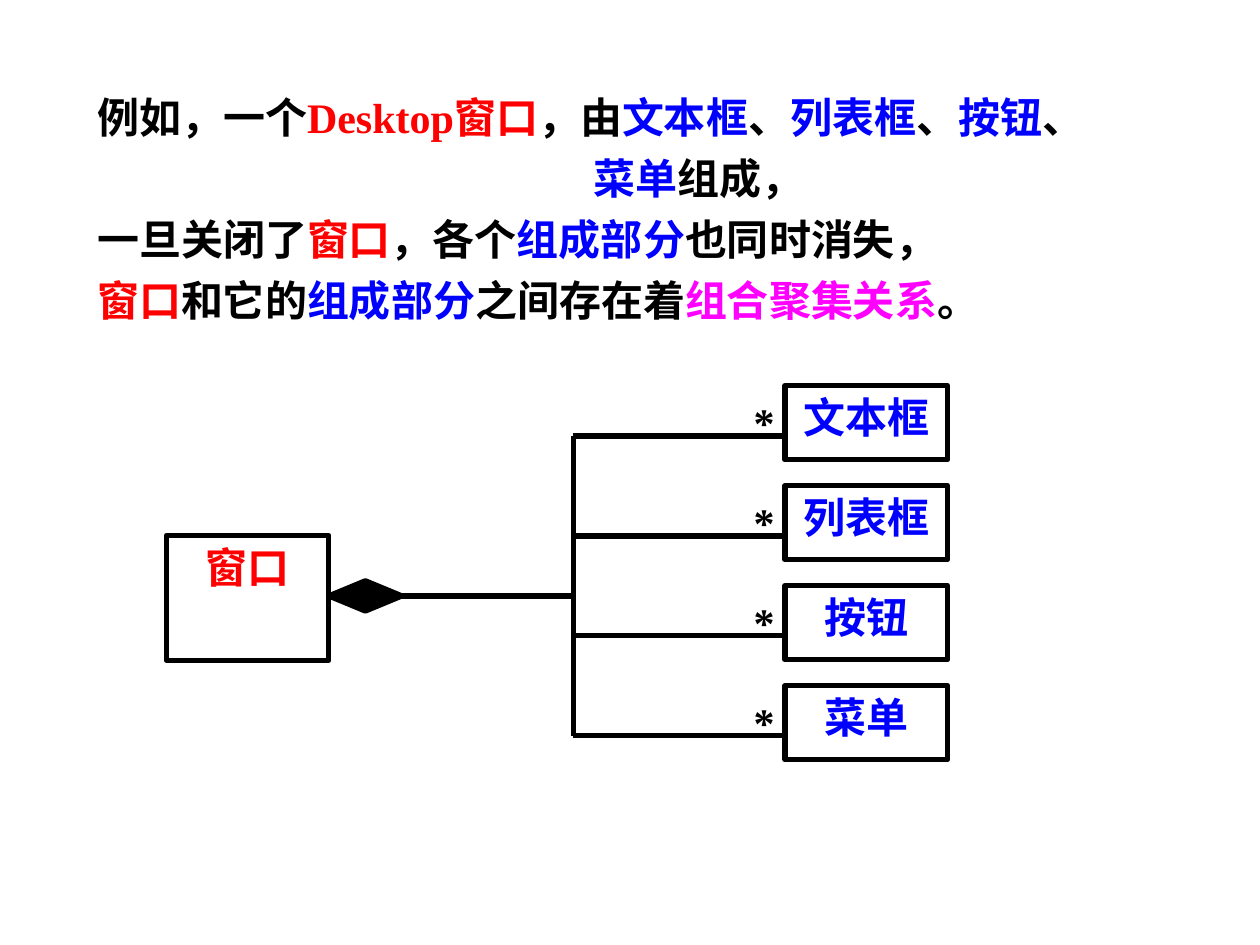
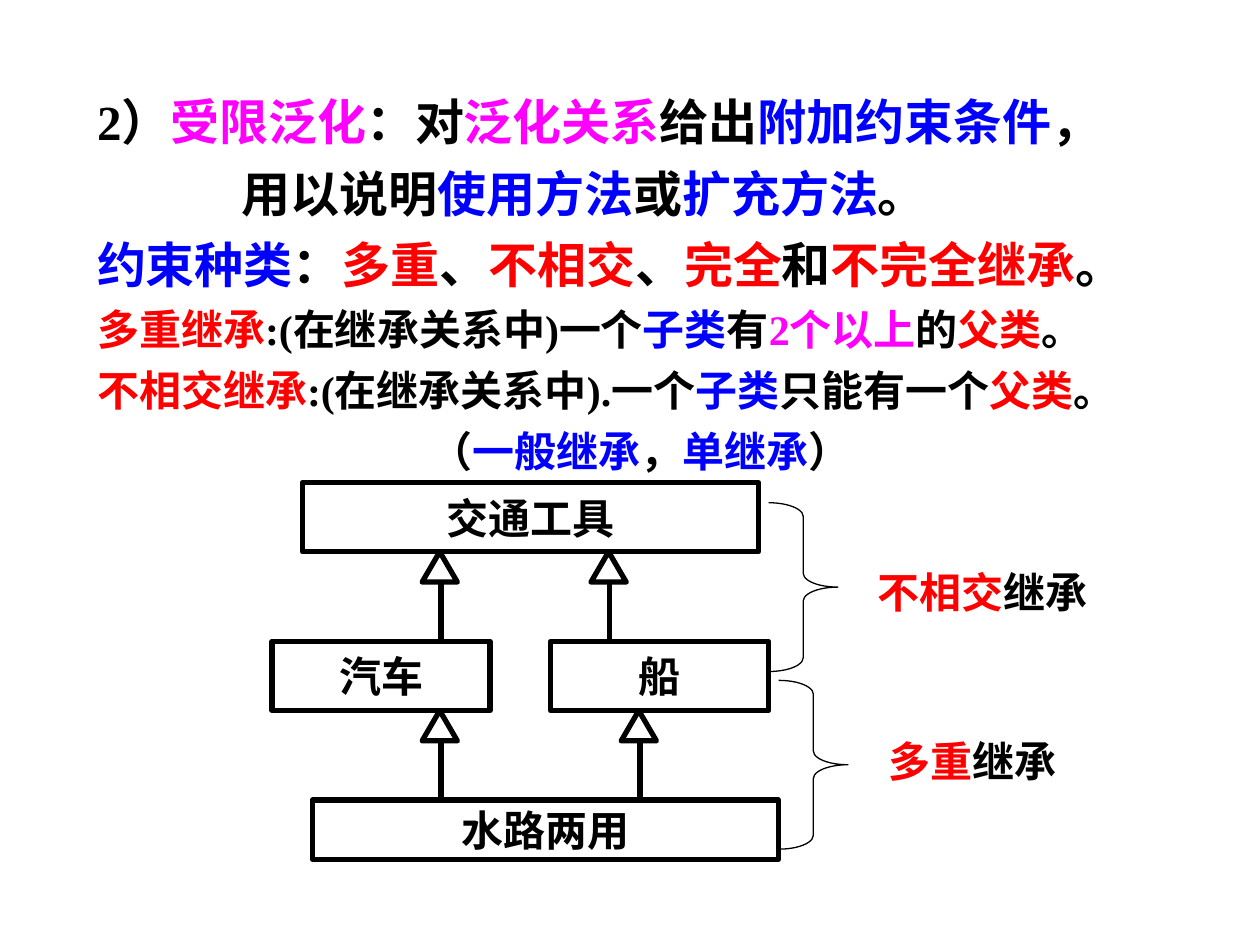
from dataclasses import dataclass
from functools import partial

from pptx import Presentation
from pptx.dml.color import RGBColor
from pptx.enum.shapes import MSO_CONNECTOR as Link, MSO_SHAPE as Form
from pptx.enum.text import MSO_ANCHOR as Anchor, MSO_AUTO_SIZE as Fit, PP_ALIGN as Align
from pptx.oxml import parse_xml
from pptx.oxml.ns import nsdecls
from pptx.util import Inches, Pt


@dataclass(frozen=True)
class Theme:
    font: str = "Times New Roman"
    ink: str = "000000"
    paper: str = "FFFFFF"
    red: str = "FF0000"
    blue: str = "0000FF"
    pink: str = "FF00FF"
    large: int = 28
    text: int = 24
    thick: float = 3
    thin: float = 0.75


@dataclass(frozen=True)
class Bit:
    text: str
    color: str


@dataclass(frozen=True)
class Line:
    bits: list
    left: float = 0
    size: int = Theme.text
    gap: int = 6


ink = partial(Bit, color=Theme.ink)
red = partial(Bit, color=Theme.red)
blue = partial(Bit, color=Theme.blue)
pink = partial(Bit, color=Theme.pink)
Head = partial(Line, size=Theme.large, gap=7)


class Deck:
    def __init__(self, theme):
        self.theme = theme
        self.show = Presentation()
        self.show.slide_width = Inches(10)
        self.show.slide_height = Inches(7.5)
        self.slide = None

    def page(self):
        self.slide = self.show.slides.add_slide(self.show.slide_layouts[0])
        title = self.slide.shapes.title
        title.element.getparent().remove(title.element)

    def row(self, para, line, align):
        para.alignment = align
        if line.left:
            props = para._p.get_or_add_pPr()
            props.set("marL", str(Inches(line.left)))
            props.set("indent", "0")
        font = para.font
        font.name, font.size, font.bold = self.theme.font, Pt(line.size), True
        colors = {bit.color for bit in line.bits}
        mixed = len(colors) > 1
        if not mixed:
            font.color.rgb = RGBColor.from_string(colors.pop())
        for bit in line.bits:
            run = para.add_run()
            run.text = bit.text
            if mixed:
                run.font.color.rgb = RGBColor.from_string(bit.color)

    def fill(self, frame, lines, align=Align.CENTER, anchor=Anchor.MIDDLE):
        frame.word_wrap = True
        frame.auto_size = Fit.NONE
        frame.vertical_anchor = anchor
        for i, line in enumerate(lines):
            para = frame.add_paragraph() if i else frame.paragraphs[0]
            para.space_before = Pt(line.gap if i else 0)
            self.row(para, line, align)

    def body(self, width, lines):
        body = self.slide.placeholders[1]
        body.left, body.top = Inches(0.67), Inches(0.68)
        body.width, body.height = Inches(width), Inches(6.49)
        self.fill(body.text_frame, lines, Align.LEFT, Anchor.TOP)

    def shape(self, form, x, y, w, h, fill=None, weight=Theme.thick):
        shape = self.slide.shapes.add_shape(form, *map(Inches, (x, y, w, h)))
        shape.shadow.inherit = False
        if fill:
            shape.fill.solid()
            shape.fill.fore_color.rgb = RGBColor.from_string(fill)
        else:
            shape.fill.background()
        shape.line.color.rgb = RGBColor.from_string(self.theme.ink)
        shape.line.width = Pt(weight)
        return shape

    def box(self, x, y, w, h, bit, fill=None, anchor=Anchor.MIDDLE):
        shape = self.shape(Form.RECTANGLE, x, y, w, h, fill)
        self.fill(shape.text_frame, [Line([bit])], anchor=anchor)

    def label(self, x, y, w, h, *bits, anchor=Anchor.MIDDLE):
        area = self.slide.shapes.add_textbox(*map(Inches, (x, y, w, h)))
        self.fill(area.text_frame, [Line(bits)], anchor=anchor)

    def link(self, x1, y1, x2, y2):
        ends = map(Inches, (x1, y1, x2, y2))
        link = self.slide.shapes.add_connector(Link.STRAIGHT, *ends)
        link.line.color.rgb = RGBColor.from_string(self.theme.ink)
        link.line.width = Pt(self.theme.thick)
        link._element.spPr.append(parse_xml(f"<a:effectLst {nsdecls('a')}/>"))
        return link

    def rise(self, x, y):
        self.shape(Form.ISOSCELES_TRIANGLE, x - 0.15, y, 0.28, 0.24, self.theme.paper)
        self.link(x, y + 0.24, x, y + 0.71)

    def brace(self, x, y):
        brace = self.shape(Form.RIGHT_BRACE, x, y, 0.55, 1.34, weight=self.theme.thin)
        brace.adjustments[0] = 0.2


def window(deck):
    deck.page()
    deck.body(8.67, [
        Line([ink("例如，一个"), red("Desktop窗口"), ink("，由"), blue("文本框"),
              ink("、"), blue("列表框"), ink("、"), blue("按钮"), ink("、")]),
        Line([blue("菜单"), ink("组成，")], left=3.94),
        Line([ink("一旦关闭了"), red("窗口"), ink("，各个"), blue("组成部分"),
              ink("也同时消失，")]),
        Line([red("窗口"), ink("和它的"), blue("组成部分"), ink("之间存在着"),
              pink("组合聚集关系"), ink("。")]),
    ])
    paper = deck.theme.paper
    trunk, mid, side, top, step = 4.55, 4.73, 6.23, 3.06, 2.38 / 3
    deck.box(1.32, 4.25, 1.29, 0.99, red("窗口"), paper, Anchor.TOP)
    whole = deck.shape(Form.DIAMOND, 2.61, mid - 0.12, 0.58, 0.24, deck.theme.ink)
    deck.link(3.19, mid, trunk, mid).begin_connect(whole, 3)
    deck.link(trunk, top + 0.4, trunk, top + 0.4 + 3 * step)
    for i, name in enumerate(("文本框", "列表框", "按钮", "菜单")):
        y = top + i * step
        deck.box(side, y, 1.29, 0.59, blue(name), paper, Anchor.TOP)
        deck.link(trunk, y + 0.4, side, y + 0.4)
        deck.label(5.71, y + 0.04, 0.71, 0.5, ink("*"), anchor=Anchor.TOP)


def limits(deck):
    deck.page()
    deck.body(9.33, [
        Head([ink("2）"), pink("受限泛化"), ink("：对"), pink("泛化关系"),
              ink("给出"), blue("附加约束条件"), ink("，")]),
        Head([ink("用以说明"), blue("使用方法"), ink("或"), blue("扩充方法"),
              ink("。")], left=1.15),
        Head([blue("约束种类"), ink("："), red("多重"), ink("、"), red("不相交"),
              ink("、"), red("完全"), ink("和"), red("不完全继承"), ink("。")]),
        Line([red("多重继承"), ink(":(在继承关系中)一个"), blue("子类"), ink("有"),
              pink("2个以上"), ink("的"), red("父类"), ink("。")]),
        Line([red("不相交继承"), ink(":(在继承关系中).一个"), blue("子类"),
              ink("只能有一个"), red("父类"), ink("。")]),
        Line([ink("（"), blue("一般继承"), ink("，"), blue("单继承"), ink("）")],
             left=2.65),
    ])
    for x, y, w, h, name in (
        (2.4, 3.83, 3.62, 0.55, "交通工具"),
        (2.16, 5.09, 1.73, 0.55, "汽车"),
        (4.37, 5.09, 1.73, 0.55, "船"),
        (2.48, 6.35, 3.7, 0.47, "水路两用"),
    ):
        deck.box(x, y, w, h, ink(name))
    for x, y in ((3.5, 4.38), (4.84, 4.38), (3.5, 5.64), (5.08, 5.64)):
        deck.rise(x, y)
    deck.brace(6.1, 3.99)
    deck.brace(6.18, 5.4)
    deck.label(6.73, 4.38, 2.13, 0.63, red("不相交"), ink("继承"))
    deck.label(6.65, 5.72, 2.13, 0.63, red("多重"), ink("继承"))


def main():
    deck = Deck(Theme())
    window(deck)
    limits(deck)
    deck.show.save("out.pptx")


if __name__ == "__main__":
    main()
